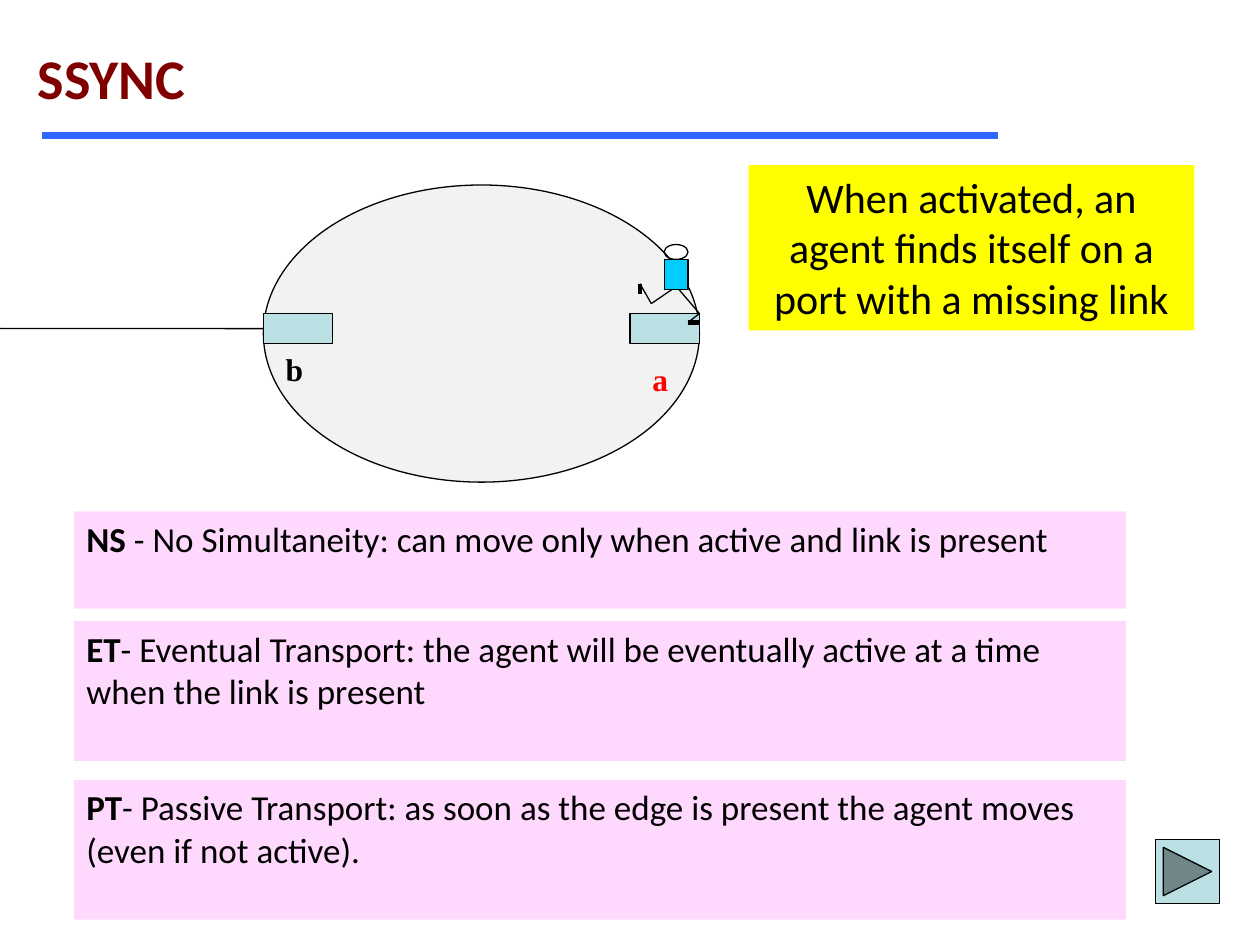
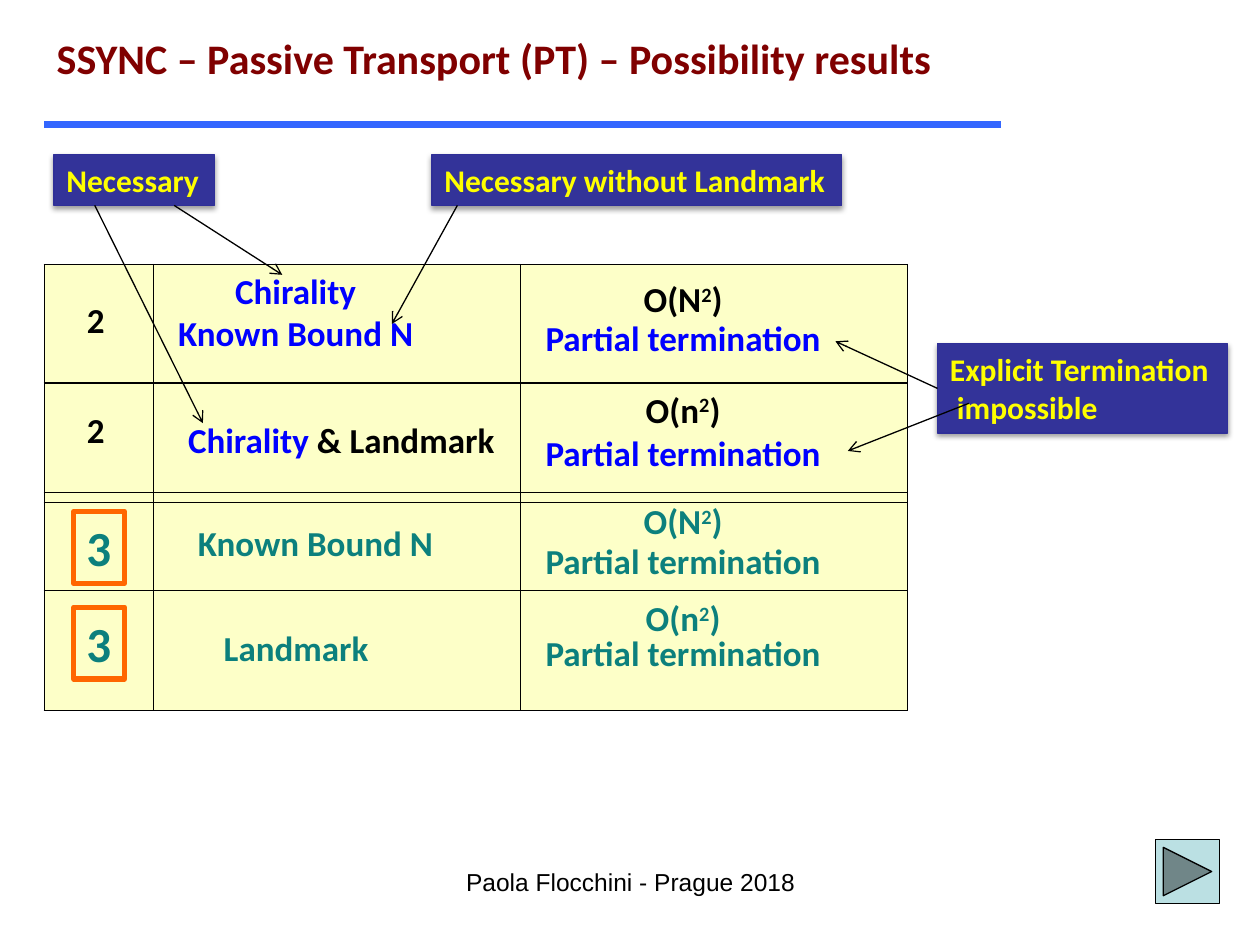
import pptx
import pptx.util
import pptx.dml.color
import pptx.enum.shapes
import pptx.enum.text
import pptx.oxml
import pptx.oxml.ns
from dataclasses import dataclass
from lxml import etree

Cm = pptx.util.Cm
Pt = pptx.util.Pt
RGB = pptx.dml.color.RGBColor.from_string
SHAPE = pptx.enum.shapes.MSO_SHAPE
ALIGN = pptx.enum.text.PP_ALIGN
ANCHOR = pptx.enum.text.MSO_ANCHOR
qn = pptx.oxml.ns.qn
NS = 'xmlns:a="http://schemas.openxmlformats.org/drawingml/2006/main"'


@dataclass
class Theme:
    black: str = "000000"
    maroon: str = "800000"
    rule: str = "3366FF"
    blue: str = "0000FF"
    teal: str = "0C807D"
    red: str = "FF0000"
    orange: str = "FF6600"
    yellow: str = "FFFF00"
    navy: str = "333399"
    navy_edge: str = "2F2F98"
    pink: str = "FFD8FE"
    cream: str = "FDFFC8"
    node: str = "F2F2F2"
    port: str = "BBE0E3"
    agent: str = "00CCFF"
    font: str = "Calibri"
    label_font: str = "Times New Roman"
    footer_font: str = "Arial"
    body: int = 20
    label: int = 18
    lead: int = 24
    number: int = 28
    footer: int = 14
    thin: float = 0.75
    foot: float = 2.75
    frame: float = 3
    thick: float = 4


T = Theme()


def box(s, kind, at, fill=None, line=None, width=T.thin):
    sp = s.shapes.add_shape(kind, *[Cm(v) for v in at])
    sp.shadow.inherit = False
    if fill:
        sp.fill.solid()
        sp.fill.fore_color.rgb = RGB(fill)
    else:
        sp.fill.background()
    if line:
        sp.line.color.rgb = RGB(line)
        sp.line.width = Pt(width)
    else:
        sp.line.fill.background()
    return sp


def write(tf, paras, size, font=T.font, bold=True, align=ALIGN.LEFT, anchor=ANCHOR.TOP, wrap=True):
    tf.word_wrap = wrap
    tf.vertical_anchor = anchor
    for i, runs in enumerate(paras):
        p = tf.paragraphs[0] if i == 0 else tf.add_paragraph()
        p.alignment = align
        for j, (text, color) in enumerate(runs):
            if j == 0:
                p.text = text
                r = p.runs[0]
            else:
                r = p.add_run()
                r.text = text
            r.font.name = font
            r.font.size = Pt(size)
            r.font.bold = bold
            r.font.color.rgb = RGB(color)


prs = pptx.Presentation()
prs.slide_width, prs.slide_height = Cm(25.4), Cm(19.05)

lines = []
slides = []
for title, at, size, rule_x, rule_y in [
    ("SSYNC", (0.51, 0.74, 3.53, 1.63), 32, 0.84, 2.74),
    ("SSYNC – Passive Transport (PT) – Possibility results", (0.89, 0.53, 24.51, 1.27), T.lead, 0.89, 2.51),
]:
    s = prs.slides.add_slide(prs.slide_layouts[5])
    sp = s.shapes.title
    sp.left, sp.top, sp.width, sp.height = [Cm(v) for v in at]
    write(sp.text_frame, [[(title, T.maroon)]], size)
    sp.text_frame.auto_size = pptx.enum.text.MSO_AUTO_SIZE.NONE
    lines.append((s, (rule_x, rule_y, rule_x + 19.28, rule_y), T.rule, T.thick, False, None))
    box(s, SHAPE.ACTION_BUTTON_FORWARD_OR_NEXT, (23.29, 16.92, 1.3, 1.3), T.port, T.black)
    slides.append(s)
ssync, results = slides

box(ssync, SHAPE.OVAL, (5.31, 3.73, 8.79, 5.99), T.node, T.black)
for name, x, label_x, label_y, color in [
    ("a", 12.7, 12.9, 7.14, T.red),
    ("b", 5.31, 5.51, 6.93, T.black),
]:
    port = box(ssync, SHAPE.RECTANGLE, (x, 6.32, 1.4, 0.61), T.port, T.black)
    sp = ssync.shapes.add_textbox(Cm(label_x), Cm(label_y), Cm(0.85), Cm(1.02))
    write(sp.text_frame, [[(name, color)]], T.label, T.label_font, wrap=False)
lines.append((ssync, (5.31, 6.62, 0, 6.62), T.black, T.thin, False, (port, 1)))

box(ssync, SHAPE.OVAL, (13.39, 4.93, 0.48, 0.3), None, T.black)
box(ssync, SHAPE.RECTANGLE, (13.39, 5.23, 0.48, 0.61), T.agent, T.black)
for ends, width in [
    ((13.54, 5.84, 13.13, 6.12), T.thin),
    ((13.13, 6.12, 12.9, 5.72), T.thin),
    ((12.9, 5.72, 12.9, 5.92), T.foot),
    ((13.69, 5.84, 14.1, 6.32), T.thin),
    ((14.1, 6.32, 13.87, 6.5), T.thin),
    ((13.87, 6.5, 14.1, 6.5), T.foot),
]:
    lines.append((ssync, ends, T.black, width, False, None))

sp = box(ssync, SHAPE.RECTANGLE, (15.09, 3.33, 8.99, 3.33), T.yellow)
write(sp.text_frame, [[("When activated, an agent finds itself on a port with a missing link", T.black)]],
      T.lead, bold=False, align=ALIGN.CENTER)
for y, h, term, meaning in [
    (10.31, 1.96, "NS ", "- No Simultaneity: can move only when active and link is present"),
    (12.52, 2.82, "ET", "- Eventual Transport: the agent will be eventually active at a time when the link is present"),
    (15.72, 2.82, "PT", "- Passive Transport: as soon as the edge is present the agent moves (even if not active)."),
]:
    sp = box(ssync, SHAPE.RECTANGLE, (1.49, y, 21.21, h), T.pink)
    write(sp.text_frame, [[(term, T.black), (meaning, T.black)]], T.body, bold=False)
    sp.text_frame.paragraphs[0].runs[0].font.bold = True

col_widths = [2.21, 7.39, 7.8]
row_heights = [2.39, 2.21, 0.2, 1.78, 2.41]
left, top = 0.89, 5.33
two = [[("2", T.black)]]
bound = [("Known Bound N", T.blue)]
cells = {
    (0, 0): (two, 1.93, 6.48),
    (1, 0): (two, 1.93, 8.69),
    (0, 1): ([[("Chirality", T.blue)], bound], 5.96, 6.32),
    (1, 1): ([[("Chirality", T.blue), (" & Landmark", T.black)]], 6.88, 8.9),
    (3, 1): ([[("Known Bound N", T.teal)]], 6.36, 10.97),
    (4, 1): ([[("Landmark", T.teal)]], 5.97, 13.1),
}
spacing = {}
for row, size, cost_color, color, y, pitch in [
    (0, "N", T.black, T.blue, 6.49, 22.5),
    (1, "n", T.black, T.blue, 8.72, 25),
    (3, "N", T.teal, T.teal, 10.97, 23),
    (4, "n", T.teal, T.teal, 12.93, 20),
]:
    cost = [("O(" + size, cost_color), ("2", cost_color), (")", cost_color)]
    cells[row, 2] = ([cost, [("Partial termination", color)]], 13.77, y)
    spacing[row] = pitch

gf = results.shapes.add_table(5, 3, Cm(left), Cm(top), Cm(sum(col_widths)), Cm(sum(row_heights)))
tbl = gf.table
tbl.first_row = tbl.horz_banding = False
for c, w in enumerate(col_widths):
    tbl.columns[c].width = Cm(w)
for row, h in enumerate(row_heights):
    tbl.rows[row].height = Cm(h)
    for c, w in enumerate(col_widths):
        cell = tbl.cell(row, c)
        tcPr = cell._tc.get_or_add_tcPr()
        for side in ("lnL", "lnR", "lnT", "lnB"):
            tcPr.append(pptx.oxml.parse_xml(
                f'<a:{side} {NS} w="9525"><a:solidFill><a:srgbClr val="{T.black}"/></a:solidFill></a:{side}>'))
        cell.fill.solid()
        cell.fill.fore_color.rgb = RGB(T.cream)
        dx = dy = 0
        if (row, c) in cells:
            paras, x, y = cells[row, c]
            dx = 2 * (x - left - sum(col_widths[:c]) - w / 2)
            dy = 2 * (y - top - sum(row_heights[:row]) - h / 2)
            write(cell.text_frame, paras, T.body, align=ALIGN.CENTER)
            if c == 2:
                cell.text_frame.paragraphs[0].runs[1]._r.get_or_add_rPr().set("baseline", "30000")
                for p in cell.text_frame.paragraphs:
                    p.line_spacing = Pt(spacing[row])
        else:
            etree.SubElement(cell.text_frame.paragraphs[0]._p, qn("a:endParaRPr"), sz="100")
        cell.vertical_anchor = ANCHOR.MIDDLE
        cell.margin_left, cell.margin_right = Cm(max(dx, 0)), Cm(max(-dx, 0))
        cell.margin_top, cell.margin_bottom = Cm(max(dy, 0)), Cm(max(-dy, 0))

for y in (10.31, 12.24):
    sp = box(results, SHAPE.RECTANGLE, (1.49, y, 1.02, 1.45), None, T.orange, T.frame)
    write(sp.text_frame, [[("3", T.teal)]], T.number, wrap=False)

for at, texts in [
    ((1.09, 3.12, 3.23, 1.02), ["Necessary"]),
    ((8.71, 3.12, 8.26, 1.02), ["Necessary without Landmark"]),
    ((18.9, 6.93, 5.84, 1.8), ["Explicit Termination", " impossible"]),
]:
    callout = box(results, SHAPE.RECTANGLE, at, T.navy, T.navy_edge)
    write(callout.text_frame, [[(text, T.yellow)] for text in texts], T.label, wrap=False)
    effects = callout._element.spPr.find(qn("a:effectLst"))
    effects.append(pptx.oxml.parse_xml(
        f'<a:outerShdw {NS} blurRad="39400" dist="20300" dir="5400000" rotWithShape="0">'
        f'<a:srgbClr val="{T.black}"><a:alpha val="38000"/></a:srgbClr></a:outerShdw>'))

for ends, joint in [
    ((3.51, 4.14, 5.69, 5.54), None),
    ((1.91, 4.14, 4.09, 8.53), None),
    ((9.22, 4.14, 7.9, 6.53), None),
    ((18.9, 7.83, 16.84, 6.88), (callout, 1)),
    ((19.53, 8.13, 17.09, 9.09), None),
]:
    lines.append((results, ends, T.black, T.thin, True, joint))

sp = results.shapes.add_textbox(Cm(8.69), Cm(17.35), Cm(8.05), Cm(1.27))
write(sp.text_frame, [[("Paola Flocchini - Prague 2018", T.black)]],
      T.footer, T.footer_font, bold=False, align=ALIGN.CENTER)

for s, ends, color, width, arrow, joint in lines:
    cn = s.shapes.add_connector(pptx.enum.shapes.MSO_CONNECTOR.STRAIGHT, *[Cm(v) for v in ends])
    cn.line.color.rgb = RGB(color)
    cn.line.width = Pt(width)
    if joint:
        cn.begin_connect(*joint)
    if arrow:
        etree.SubElement(cn.line._get_or_add_ln(), qn("a:tailEnd"), type="arrow")
    etree.SubElement(cn._element.spPr, qn("a:effectLst"))

prs.save("out.pptx")
